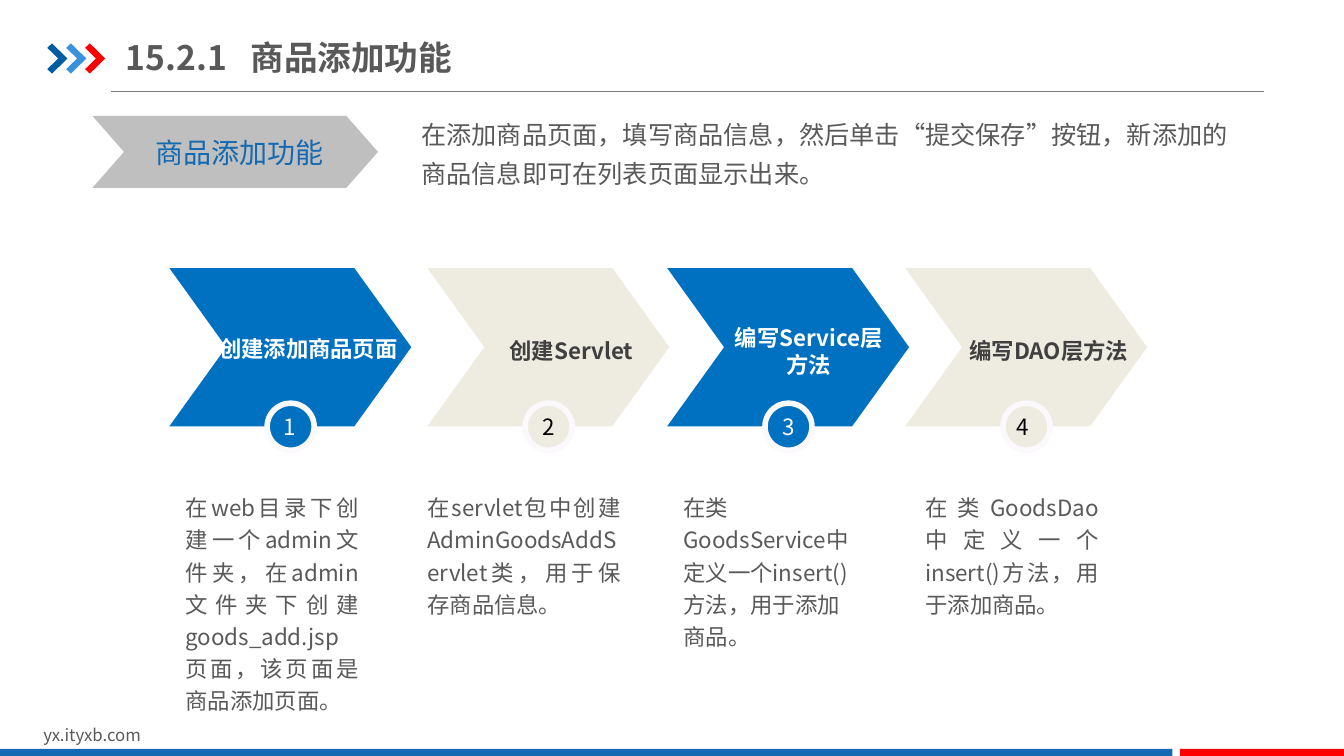
from lxml.etree import SubElement
from pptx import Presentation
from pptx.dml.color import RGBColor
from pptx.enum.shapes import MSO_CONNECTOR, MSO_SHAPE as Preset
from pptx.enum.text import MSO_ANCHOR as Anchor, MSO_AUTO_SIZE, PP_ALIGN as Align
from pptx.oxml.ns import qn
from pptx.util import Pt

FONT = "Noto Sans CJK SC"
NAVY, SKY, RED, BLUE = "005DA2", "3992DB", "FF0000", "1369B2"
STEP_BLUE, STEP_BEIGE, RING = "0070C0", "EEECE1", "FBF9FC"
WHITE, BLACK, DARK, GREY = "FFFFFF", "000000", "404040", "595959"
rgb = RGBColor.from_string


def paint(shape, fill, line=None):
    shape.shadow.inherit = False
    shape.fill.solid()
    shape.fill.fore_color.rgb = rgb(fill)
    if line:
        shape.line.color.rgb = rgb(line)
        shape.line.width = Pt(4)
    else:
        shape.line.fill.background()


def write(box, text, size, color, bold=False, insets=(0, 0), frame_format=None, paragraph_format=None):
    """Fill a text shape; insets are horizontal and vertical, in points."""
    frame = box.text_frame
    across, down = map(Pt, insets)
    defaults = {
        "word_wrap": True, "auto_size": MSO_AUTO_SIZE.NONE,
        "margin_left": across, "margin_right": across,
        "margin_top": down, "margin_bottom": down,
    }
    for name, value in (defaults | (frame_format or {})).items():
        setattr(frame, name, value)
    paragraph = frame.paragraphs[0]
    for name, value in (paragraph_format or {}).items():
        setattr(paragraph, name, value)
    run = paragraph.add_run()
    run.text = text
    font_format = {"size": Pt(size), "bold": bold, "name": FONT}
    run.font.color.rgb = rgb(color)
    for name, value in font_format.items():
        setattr(run.font, name, value)
    SubElement(run._r.get_or_add_rPr(), qn("a:ea"), typeface=FONT)


deck = Presentation()
deck.slide_width, deck.slide_height = Pt(960), Pt(540)
slide = deck.slides.add_slide(deck.slide_layouts[5])
shapes = slide.shapes

# Header
header_rule = shapes.add_connector(MSO_CONNECTOR.STRAIGHT, Pt(79.2), Pt(65.5), Pt(903), Pt(65.5))
header_rule.line.color.rgb = rgb("808080")
header_rule.line.width = Pt(0.75)
SubElement(header_rule._element.spPr, qn("a:effectLst"))

ARROWHEAD = [(0, 3.2), (3.4, 0), (14.4, 10.8), (3.4, 21.6), (0, 18.4), (7.8, 10.8)]
for index, color in enumerate((NAVY, SKY, RED)):
    outline = [(Pt(33.8 + 13.5 * index + x), Pt(31 + y)) for x, y in ARROWHEAD]
    builder = shapes.build_freeform(*outline[0])
    builder.add_line_segments(outline[1:], close=True)
    paint(builder.convert_to_shape(), color)

title = shapes.title
title.left, title.top, title.width, title.height = Pt(90), Pt(21), Pt(307), Pt(39.6)
tab_stops = SubElement(title.text_frame.paragraphs[0]._p.get_or_add_pPr(), qn("a:tabLst"))
SubElement(tab_stops, qn("a:tab"), pos=str(Pt(89)), algn="l")
write(title, "15.2.1\t商品添加功能", 24, GREY, bold=True, insets=(0, 5),
      frame_format={"vertical_anchor": Anchor.MIDDLE}, paragraph_format={"alignment": Align.LEFT})

# Footer
site = shapes.add_textbox(Pt(23.8), Pt(514), Pt(229), Pt(21.8))
write(site, "yx.ityxb.com", 12, GREY, insets=(7.2, 3.6))
for left, width, color in ((0, 837.4, BLUE), (843, 117, RED)):
    paint(shapes.add_shape(Preset.RECTANGLE, Pt(left), Pt(535), Pt(width), Pt(6)), color)

# Introduction
topic_arrow = shapes.add_shape(Preset.CHEVRON, Pt(66), Pt(82.8), Pt(204), Pt(51.4))
topic_arrow.adjustments[0] = 0.44
paint(topic_arrow, "BFBFBF")
topic = shapes.add_textbox(Pt(104), Pt(93.4), Pt(135), Pt(31.5))
write(topic, "商品添加功能", 20, BLUE, insets=(7.2, 3.6), frame_format={"word_wrap": False})
summary = shapes.add_textbox(Pt(293.8), Pt(75), Pt(602.6), Pt(67))
write(summary, "在添加商品页面，填写商品信息，然后单击“提交保存”按钮，新添加的商品信息即可在列表页面显示出来。",
      18, GREY, insets=(7.2, 3.6), paragraph_format={"line_spacing": 1.3})

# Steps: arrow left, label (text, left, centre height, width), digit left,
# description (text, left, width, alignment)
steps = [
    (121, ("创建添加商品页面", 156.2, 248.8, 128.2), 202.3,
     ("在web目录下创建一个admin文件夹，在admin文件夹下创建goods_add.jsp页面，该页面是商品添加页面。",
      132.5, 123.8, Align.JUSTIFY)),
    (305.3, ("创建Servlet", 352, 250.6, 112.3), 387.4,
     ("在servlet包中创建AdminGoodsAddServlet类，用于保存商品信息。", 305.3, 138.2, Align.JUSTIFY)),
    (476.6, ("编写Service层方法", 519, 250.6, 117.4), 558.7,
     ("在类GoodsService中定义一个insert()方法，用于添加商品。", 488.2, 123.8, Align.LEFT)),
    (646.6, ("编写DAO层方法", 689.8, 250.6, 118.8), 725.8,
     ("在类GoodsDao中定义一个insert()方法，用于添加商品。", 661, 123.8, Align.JUSTIFY)),
]
for number, (arrow_left, label_data, digit_left, description_data) in enumerate(steps, 1):
    if number % 2:
        fill, label_color, digit_color = STEP_BLUE, WHITE, WHITE
    else:
        fill, label_color, digit_color = STEP_BEIGE, DARK, BLACK

    arrow = shapes.add_shape(Preset.CHEVRON, Pt(arrow_left), Pt(191.5), Pt(172.8), Pt(113))
    arrow.adjustments[0] = 0.36
    paint(arrow, fill)

    label_text, label_left, label_middle, label_width = label_data
    label = shapes.add_textbox(Pt(label_left), Pt(label_middle - 9), Pt(label_width), Pt(18))
    write(label, label_text, 16, label_color, bold=True,
          frame_format={"vertical_anchor": Anchor.MIDDLE, "word_wrap": number > 1},
          paragraph_format={"alignment": Align.CENTER})

    badge = shapes.add_shape(Preset.OVAL, Pt(arrow_left + 69.8), Pt(288), Pt(33.6), Pt(33.6))
    paint(badge, fill, RING)
    digit = shapes.add_textbox(Pt(digit_left), Pt(293), Pt(10), Pt(24))
    write(digit, str(number), 16, digit_color, frame_format={"vertical_anchor": Anchor.MIDDLE})

    description_text, description_left, description_width, alignment = description_data
    description = shapes.add_textbox(Pt(description_left), Pt(349.2), Pt(description_width), Pt(160))
    write(description, description_text, 16, GREY,
          paragraph_format={"alignment": alignment, "line_spacing": 1.2})

deck.save("out.pptx")
